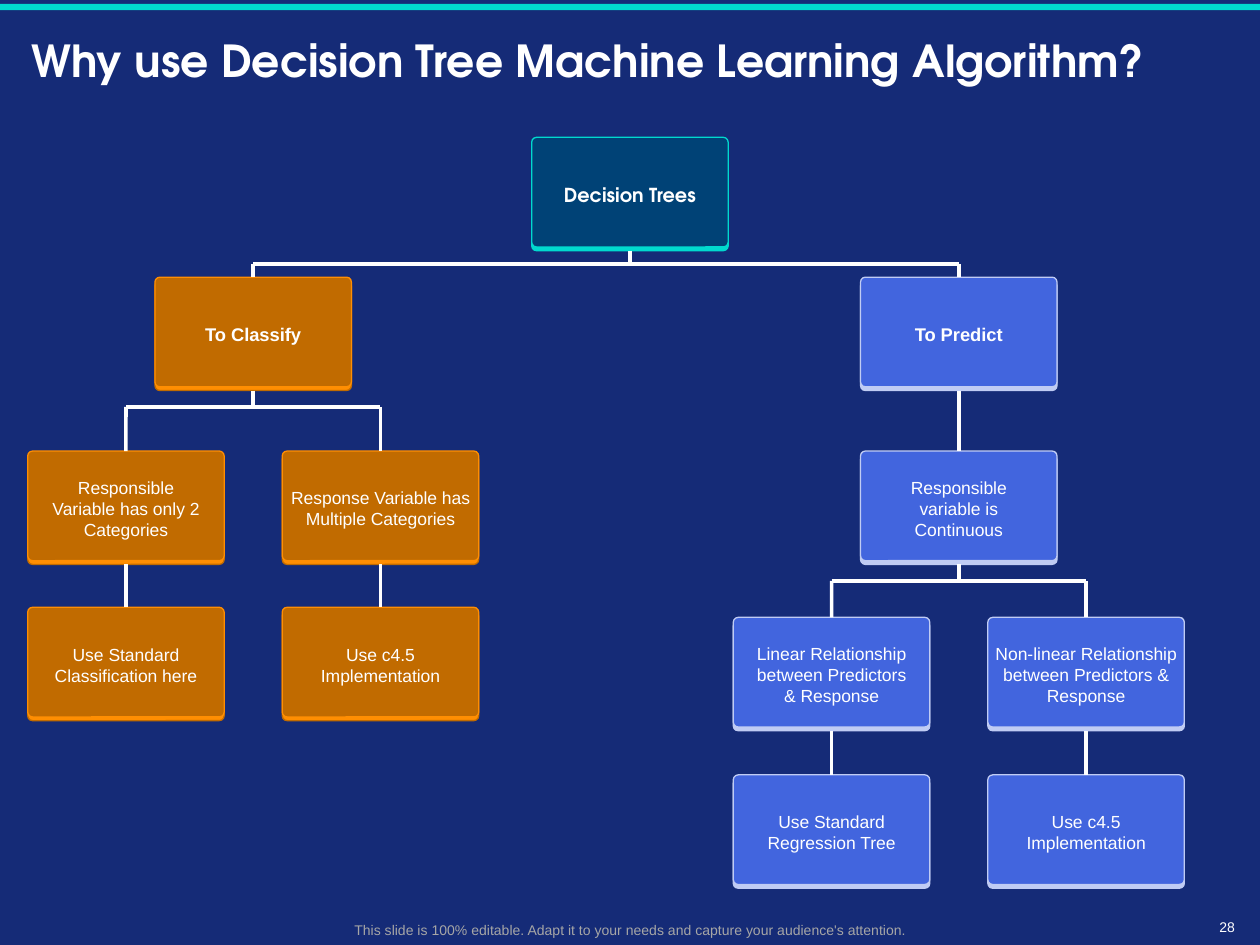
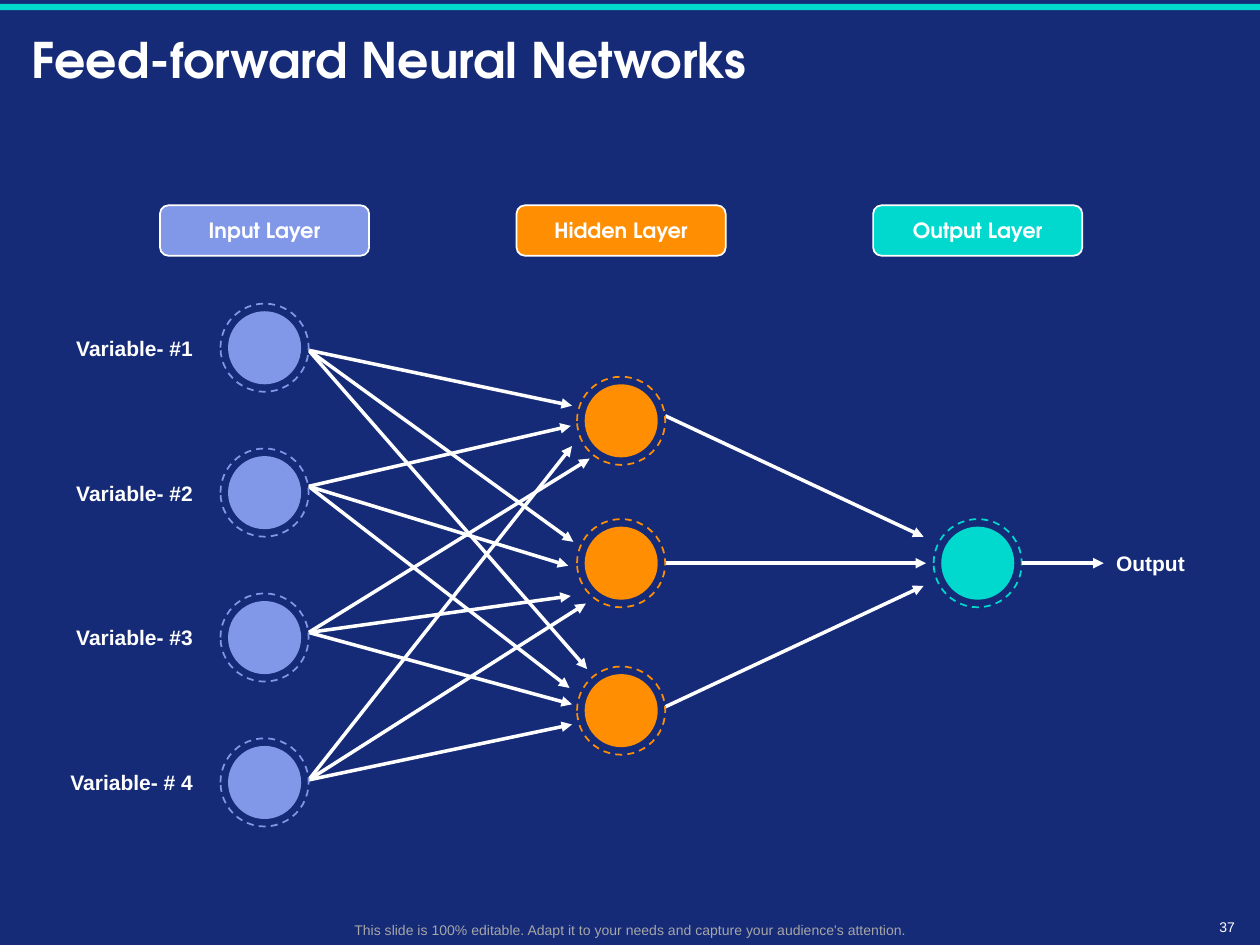
from dataclasses import dataclass

from lxml import etree
from pptx import Presentation
from pptx.dml.color import RGBColor
from pptx.enum.dml import MSO_LINE
from pptx.enum.shapes import MSO_CONNECTOR, MSO_SHAPE
from pptx.enum.text import MSO_ANCHOR, PP_ALIGN
from pptx.oxml.ns import qn
from pptx.util import Inches, Pt

RECT, ROUND, OVAL = MSO_SHAPE.RECTANGLE, MSO_SHAPE.ROUNDED_RECTANGLE, MSO_SHAPE.OVAL
LEFT, CENTER, RIGHT = PP_ALIGN.LEFT, PP_ALIGN.CENTER, PP_ALIGN.RIGHT
MIDDLE, STRAIGHT, DASH = MSO_ANCHOR.MIDDLE, MSO_CONNECTOR.STRAIGHT, MSO_LINE.DASH
TOP_SIDE, LEFT_SIDE, BOTTOM_SIDE = 0, 1, 2


@dataclass(frozen=True)
class Theme:
    navy: str = "152B77"
    teal: str = "01D9CE"
    deep_teal: str = "004276"
    orange: str = "FF8E02"
    brown: str = "C16B00"
    blue: str = "4265DE"
    pale_blue: str = "C0CCF4"
    periwinkle: str = "8198E9"
    white: str = "FFFFFF"
    grey: str = "A6A6A6"
    heading: str = "TeX Gyre Adventor"
    body: str = "Arial"
    label_size: float = 12
    root_size: float = 11
    branch_size: float = 10.5
    leaf_size: float = 10
    small_size: float = 8


T = Theme()
W, H = 10, 7.5


def add_box(s, kind, x, y, w, h, fill=None, line=None, width=0, text=None,
            size=T.leaf_size, bold=False, font=T.body, color=T.white,
            align=CENTER, inset=0.1):
    place = [Inches(v) for v in (x, y, w, h)]
    sp = s.shapes.add_shape(kind, *place) if kind else s.shapes.add_textbox(*place)
    sp.shadow.inherit = False
    if fill:
        sp.fill.solid()
        sp.fill.fore_color.rgb = RGBColor.from_string(fill)
    if line:
        sp.line.color.rgb = RGBColor.from_string(line)
        sp.line.width = Pt(width)
    else:
        sp.line.fill.background()
    if text:
        tf = sp.text_frame
        tf.text = text
        tf.word_wrap = True
        tf.vertical_anchor = MIDDLE
        tf.margin_left = tf.margin_right = Inches(inset)
        tf.margin_top = tf.margin_bottom = 0
        for p in tf.paragraphs:
            p.alignment = align
            for r in p.runs:
                r.font.size, r.font.bold, r.font.name = Pt(size), bold, font
                r.font.color.rgb = RGBColor.from_string(color)
    return sp


def add_line(s, x1, y1, x2, y2, arrow=False):
    c = s.shapes.add_connector(STRAIGHT, *[Inches(v) for v in (x1, y1, x2, y2)])
    c.line.color.rgb = RGBColor.from_string(T.white)
    c.line.width = Pt(0)
    sp_pr = c.element.spPr
    if arrow:
        etree.SubElement(sp_pr.find(qn("a:ln")), qn("a:tailEnd"), type="triangle")
    etree.SubElement(sp_pr, qn("a:effectLst"))
    return c


prs = Presentation()
prs.slide_width, prs.slide_height = Inches(W), Inches(H)
back = prs.slide_master.background.fill
back.solid()
back.fore_color.rgb = RGBColor.from_string(T.navy)

slides = []
for title, size, number in [
    ("Why use Decision Tree Machine Learning Algorithm?", 25.2, "28"),
    ("Feed-forward Neural Networks", 28, "37"),
]:
    s = prs.slides.add_slide(prs.slide_layouts[5])
    slides.append(s)
    add_box(s, RECT, 0, 0.03, W, 0.05, T.teal)
    sp = s.shapes.title
    sp.left, sp.top, sp.width, sp.height = [Inches(v) for v in (0.15, 0.11, 9.7, 0.78)]
    tf = sp.text_frame
    tf.text = title
    tf.vertical_anchor = MIDDLE
    p = tf.paragraphs[0]
    p.alignment, p.line_spacing = LEFT, 0.9
    r = p.runs[0]
    r.font.size, r.font.bold, r.font.name = Pt(size), True, T.heading
    r.font.color.rgb = RGBColor.from_string(T.white)
    add_box(s, None, 9.48, 7.25, 0.42, 0.21, text=number, size=T.small_size, align=RIGHT)
    add_box(s, None, 0.47, 7.26, 9.07, 0.24, size=T.small_size, color=T.grey,
            text="This slide is 100% editable. Adapt it to your needs and capture "
                 "your audience's attention.")

tree, network = slides

NODE_W, NODE_H, LIP, PITCH = 1.56, 0.87, 0.03, 1.01
L1, L2, L3 = [1 + PITCH * i for i in range(3)]
R1, R2, R3 = [6.6 + PITCH * i for i in range(3)]
ROWS = [1.09, 2.2, 3.58, 4.82, 4.9, 6.15]
ROOT = (T.deep_teal, T.teal, T.teal)
CLASSIFY = (T.brown, T.orange, T.brown)
PREDICT = (T.blue, T.pale_blue, T.pale_blue)
SNUG, ROOMY = 0.03, 0.15

nodes = {
    "root": ("Decision Trees", W / 2, 0, ROOT, ROOMY),
    "classify": ("To Classify", L2, 1, CLASSIFY, ROOMY),
    "predict": ("To Predict", R2, 1, PREDICT, ROOMY),
    "two": ("Responsible Variable has only 2 Categories", L1, 2, CLASSIFY, ROOMY),
    "multiple": ("Response Variable has Multiple Categories", L3, 2, CLASSIFY, SNUG),
    "continuous": ("Responsible variable is Continuous", R2, 2, PREDICT, ROOMY),
    "standard": ("Use Standard Classification here", L1, 3, CLASSIFY, ROOMY),
    "c45": ("Use c4.5 Implementation", L3, 3, CLASSIFY, ROOMY),
    "linear": ("Linear Relationship between Predictors\n& Response", R1, 4, PREDICT, ROOMY),
    "nonlinear": ("Non-linear Relationship between Predictors & Response", R3, 4, PREDICT, SNUG),
    "regression": ("Use Standard Regression Tree", R1, 5, PREDICT, ROOMY),
    "c45_predict": ("Use c4.5 Implementation", R3, 5, PREDICT, ROOMY),
}
children = {
    "root": ["classify", "predict"],
    "classify": ["two", "multiple"],
    "predict": ["continuous"],
    "two": ["standard"],
    "multiple": ["c45"],
    "continuous": ["linear", "nonlinear"],
    "linear": ["regression"],
    "nonlinear": ["c45_predict"],
}
sizes = {0: T.root_size, 1: T.branch_size}

bases, fronts = {}, {}
for key, (text, x, row, (face, edge, base_edge), inset) in nodes.items():
    left, top = x - NODE_W / 2, ROWS[row]
    bases[key] = add_box(tree, ROUND, left, top + LIP, NODE_W, NODE_H, edge, base_edge)
    fronts[key] = add_box(tree, ROUND, left, top, NODE_W, NODE_H, face, edge,
                          text=text, size=sizes.get(row, T.leaf_size), bold=row < 2,
                          font=T.body if row else T.heading, inset=inset)
    fronts[key].text_frame.margin_top = Inches(0.04)
    for sp in (bases[key], fronts[key]):
        sp.adjustments[0] = 0.045

for parent, kids in children.items():
    x, row = nodes[parent][1:3]
    bottom = ROWS[row] + LIP + NODE_H
    xs = [nodes[kid][1] for kid in kids]
    kid_top = ROWS[nodes[kids[0]][2]]
    if len(kids) == 1:
        c = add_line(tree, x, bottom, x, kid_top)
        c.begin_connect(bases[parent], BOTTOM_SIDE)
        c.end_connect(fronts[kids[0]], TOP_SIDE)
        continue
    bus = bottom + min(0.13, (kid_top - bottom) / 2)
    add_line(tree, x, bottom, x, bus).begin_connect(bases[parent], BOTTOM_SIDE)
    add_line(tree, xs[0], bus, xs[-1], bus)
    for kid, kid_x in zip(kids, xs):
        add_line(tree, kid_x, bus, kid_x, kid_top).end_connect(fronts[kid], TOP_SIDE)

RING, DISC = 0.7, 0.58
INPUT_X, HIDDEN_X, OUTPUT_X = [2.1 + 2.83 * i for i in range(3)]
INPUT_YS = [2.76 + 1.15 * i for i in range(4)]
HIDDEN_YS = [3.34, 4.47, 5.64]
OUTPUT_Y = 4.47

arrows = [
    (2.78, [(4.54, 3.22), (4.55, 4.3), (4.66, 5.31)]),
    (3.86, [(4.53, 3.38), (4.51, 4.49), (4.52, 5.46)]),
    (5.02, [(4.68, 3.64), (4.53, 4.73), (4.54, 5.59)]),
    (6.19, [(4.54, 3.54), (4.65, 4.79), (4.54, 5.75)]),
]
for y, ends in arrows:
    for end in ends:
        add_line(network, INPUT_X + RING / 2, y, *end, arrow=True)
for y, end in [(3.3, (7.33, 4.26)), (4.47, (7.35, 4.47)), (5.61, (7.33, 4.65))]:
    add_line(network, HIDDEN_X + RING / 2, y, *end, arrow=True)

for name, x, ys, color in [
    ("Input Layer", INPUT_X, INPUT_YS, T.periwinkle),
    ("Hidden Layer", HIDDEN_X, HIDDEN_YS, T.orange),
    ("Output Layer", OUTPUT_X, [OUTPUT_Y], T.teal),
]:
    add_box(network, ROUND, x - 0.83, 1.63, 1.66, 0.4, color, T.white, 1,
            text=name, size=T.label_size, bold=True, font=T.heading)
    for y in ys:
        ring = add_box(network, OVAL, x - RING / 2, y - RING / 2, RING, RING, T.navy, color, 1)
        ring.line.dash_style = DASH
        add_box(network, OVAL, x - DISC / 2, y - DISC / 2, DISC, DISC, color)

for text, y in zip(["Variable- #1", "Variable- #2", "Variable- #3", "Variable- # 4"], INPUT_YS):
    add_box(network, None, 0.37, y - 0.16, 1.26, 0.32, text=text,
            size=T.label_size, bold=True, align=RIGHT)
output = add_box(network, None, 8.76, OUTPUT_Y - 0.16, 0.8, 0.32, text="Output",
                 size=T.label_size, bold=True, align=LEFT)
c = add_line(network, OUTPUT_X + RING / 2, OUTPUT_Y, 8.76, OUTPUT_Y, arrow=True)
c.end_connect(output, LEFT_SIDE)

prs.save("out.pptx")
